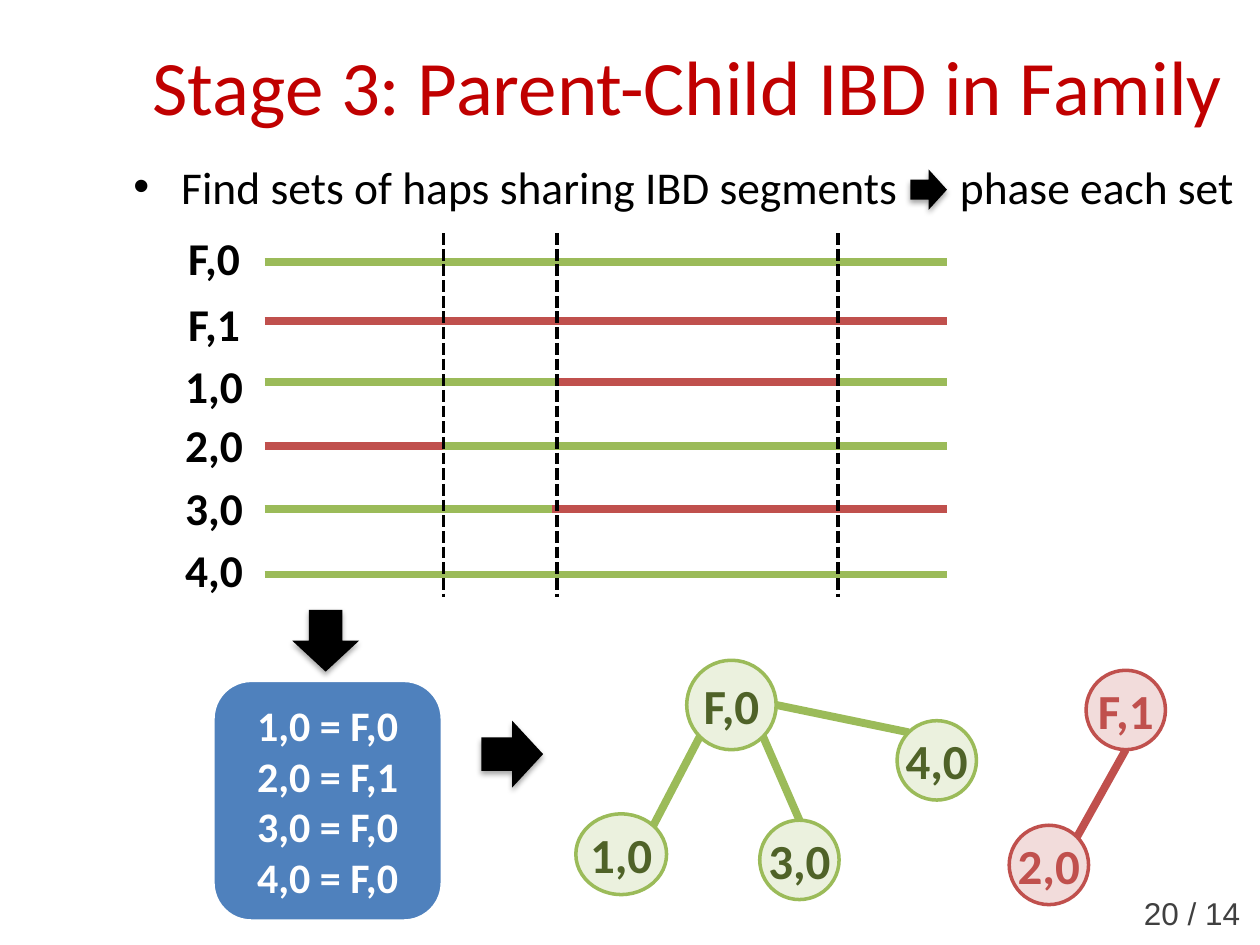
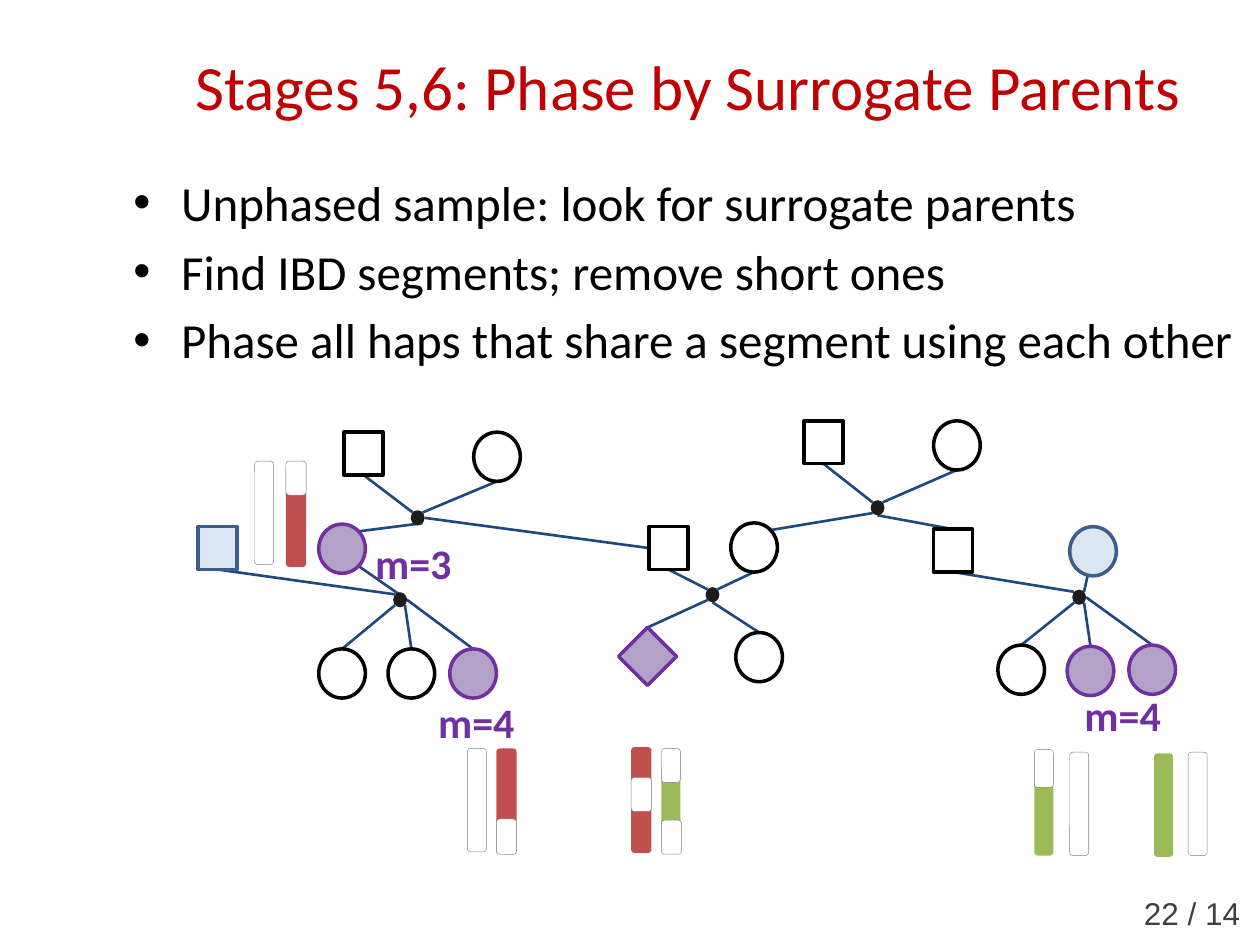
"""Builds two slides on phasing haplotypes within families and by surrogate parents."""
from lxml import etree
from pptx import Presentation
from pptx.dml.color import RGBColor
from pptx.enum.dml import MSO_LINE
from pptx.enum.shapes import MSO_CONNECTOR, MSO_SHAPE
from pptx.enum.text import MSO_ANCHOR, PP_ALIGN
from pptx.oxml.ns import qn
from pptx.util import Inches, Pt

GREEN, RED, BLUE, BLACK, WHITE = "9BBB59", "C0504D", "4F81BD", "000000", "FFFFFF"
TITLE_RED, NAVY, PURPLE, GREY, DOT = "C00000", "1F497D", "7030A0", "808080", "1C1C1C"
TOTAL_PAGES = 14

FAMILY = {
    "page": 20,
    "title": ("Stage 3: Parent-Child IBD in Family", 44),
    "bullets": [("Find sets of haps sharing IBD segments", "phase each set")],
    "bullet_box": (0.96, 1.21, 9, 1.04),
    "bullet_size": 26,
}
SURROGATES = {
    "page": 22,
    "title": ("Stages 5,6: Phase by Surrogate Parents", 36),
    "bullets": [
        "Unphased sample: look for surrogate parents",
        "Find IBD segments; remove short ones",
        "Phase all haps that share a segment using each other",
    ],
    "bullet_box": (0.96, 1.32, 9, 1.67),
    "bullet_size": 28,
}

HAP_START, HAP_END = 2.1, 7.52
CUTS = [3.52, 4.42, 6.65]
HAPS = [
    ("F,0", 1.78, 2.08, [(GREEN, HAP_START, HAP_END)]),
    ("F,1", 2.3, 2.55, [(RED, HAP_START, HAP_END)]),
    ("1,0", 2.79, 3.03, [(GREEN, HAP_START, HAP_END), (RED, 4.43, 6.65)]),
    ("2,0", 3.26, 3.54, [(RED, HAP_START, 3.52), (GREEN, 3.52, HAP_END)]),
    ("3,0", 3.76, 4.04, [(GREEN, HAP_START, HAP_END), (RED, 4.38, HAP_END)]),
    ("4,0", 4.25, 4.56, [(GREEN, HAP_START, HAP_END)]),
]
MATCHES = ["1,0 = F,0", "2,0 = F,1", "3,0 = F,0", "4,0 = F,0"]
ARROWS = [
    ((7.21, 1.36, 0.32, 0.29), 270),
    ((2.32, 4.84, 0.53, 0.49), 0),
    ((3.8, 5.74, 0.53, 0.49), 270),
]
SETS = {"green": ("EBF1DE", GREEN, "4F6228"), "red": ("F2DCDB", RED, RED)}
HAP_NODES = {
    "F,0": ("green", (5.45, 5.24, 0.71, 0.71)),
    "1,0": ("green", (4.57, 6.46, 0.72, 0.64)),
    "3,0": ("green", (6.03, 6.51, 0.63, 0.63)),
    "4,0": ("green", (7.12, 5.72, 0.63, 0.63)),
    "2,0": ("red", (8.01, 6.55, 0.63, 0.63)),
    "F,1": ("red", (8.62, 5.32, 0.63, 0.63)),
}
HAP_LINKS = [
    ("F,0", "se", "3,0", "n"), ("F,0", "e", "4,0", "nw"),
    ("F,0", "sw", "1,0", "ne"), ("F,1", "s", "2,0", "ne"),
]

KINDS = {
    "man": (MSO_SHAPE.RECTANGLE, 0.31, 0.34),
    "woman": (MSO_SHAPE.OVAL, 0.37, 0.39),
    "sample": (MSO_SHAPE.DIAMOND, 0.46, 0.46),
    "union": (MSO_SHAPE.OVAL, 0.11, 0.12),
}
STATES = {
    "plain": (WHITE, BLACK), "spouse": ("DCE6F2", "3A5F8C"),
    "match": ("B3A2C7", PURPLE), "union": (DOT, None),
}
PEOPLE = {
    "left grandfather": ("man", "plain", 2.73, 3.43),
    "left grandmother": ("woman", "plain", 3.76, 3.43),
    "left founders": ("union", "union", 3.26, 4.05),
    "left husband": ("man", "spouse", 1.57, 4.18),
    "left wife": ("woman", "match", 2.53, 4.16),
    "left couple": ("union", "union", 3.12, 4.7),
    "left child 1": ("woman", "plain", 2.53, 5.15),
    "left child 2": ("woman", "plain", 3.08, 5.15),
    "left child 3": ("woman", "match", 3.57, 5.15),
    "father": ("man", "plain", 5.15, 4.18),
    "mother": ("woman", "plain", 5.8, 4.15),
    "parents": ("union", "union", 5.6, 4.66),
    "sample": ("sample", "match", 4.91, 4.98),
    "sister": ("woman", "plain", 5.84, 5.02),
    "right grandfather": ("man", "plain", 6.38, 3.34),
    "right grandmother": ("woman", "plain", 7.41, 3.34),
    "right founders": ("union", "union", 6.91, 3.97),
    "right husband": ("man", "plain", 7.41, 4.2),
    "right wife": ("woman", "spouse", 8.49, 4.18),
    "right couple": ("union", "union", 8.51, 4.68),
    "right child 1": ("woman", "plain", 7.92, 5.12),
    "right child 2": ("woman", "match", 8.47, 5.13),
    "right child 3": ("woman", "match", 8.96, 5.12),
}
KIN_LINKS = [
    ("left founders", "nw", "left grandfather", "s"),
    ("left founders", "ne", "left grandmother", "s"),
    ("left founders", "se", "left wife", "ne"),
    ("left founders", "e", "father", "w"),
    ("left couple", "nw", "left husband", "s"),
    ("left couple", "e", "left wife", "se"),
    ("left couple", "sw", "left child 1", "n"),
    ("left couple", "se", "left child 2", "n"),
    ("left couple", "e", "left child 3", "n"),
    ("parents", "nw", "father", "s"),
    ("parents", "ne", "mother", "s"),
    ("parents", "sw", "sample", "n"),
    ("parents", "s", "sister", "n"),
    ("right founders", "nw", "right grandfather", "s"),
    ("right founders", "ne", "right grandmother", "s"),
    ("right founders", "sw", "mother", "ne"),
    ("right founders", "s", "right husband", "n"),
    ("right couple", "nw", "right husband", "s"),
    ("right couple", "ne", "right wife", "c"),
    ("right couple", "sw", "right child 1", "n"),
    ("right couple", "se", "right child 2", "n"),
    ("right couple", "e", "right child 3", "n"),
]
MATCH_COUNTS = [("m=3", 2.84, 4.22), ("m=4", 8.47, 5.42), ("m=4", 3.34, 5.48)]
HAP_BARS = [
    (RED, 5.01, 5.93, 0.16, 0.84), (RED, 3.94, 5.94, 0.16, 0.84),
    (RED, 2.27, 3.66, 0.16, 0.84), (WHITE, 5.01, 6.17, 0.16, 0.27),
    (WHITE, 3.94, 6.5, 0.16, 0.28), (WHITE, 3.71, 5.94, 0.15, 0.82),
    (WHITE, 2.02, 3.66, 0.15, 0.82), (WHITE, 2.27, 3.66, 0.16, 0.27),
    (GREEN, 5.25, 5.95, 0.15, 0.82), (GREEN, 8.21, 5.97, 0.15, 0.82),
    (GREEN, 9.16, 5.98, 0.15, 0.82), (WHITE, 8.49, 5.97, 0.15, 0.82),
    (WHITE, 9.43, 5.97, 0.15, 0.82), (WHITE, 8.21, 5.95, 0.15, 0.3),
    (WHITE, 5.25, 5.94, 0.15, 0.27), (WHITE, 5.25, 6.51, 0.16, 0.27),
]

GLUE = {"n": 0, "w": 1, "s": 2, "e": 3}
DIAGONAL = 0.7071


def rgb(value):
    return RGBColor.from_string(value)


def inches(box):
    return [Inches(length) for length in box]


def add_run(paragraph, text, size, color, bold, font):
    run = paragraph.add_run()
    run.text = text
    for key, value in {"size": Pt(size), "bold": bold, "name": font}.items():
        setattr(run.font, key, value)
    run.font.color.rgb = rgb(color)
    return run


def write(shape, paragraphs, size, color, bold=False, font="Calibri", align=PP_ALIGN.CENTER,
          before=0, bullet=False, **frame_format):
    frame = shape.text_frame
    for key, value in {"word_wrap": True, **frame_format}.items():
        setattr(frame, key, value)
    for index, pieces in enumerate(paragraphs):
        paragraph = frame.paragraphs[0] if index == 0 else frame.add_paragraph()
        paragraph.alignment = align
        paragraph.space_before = Pt(before)
        if bullet:
            properties = paragraph._p.get_or_add_pPr()
            properties.set("marL", str(Inches(0.38)))
            properties.set("indent", str(-Inches(0.38)))
            etree.SubElement(properties, qn("a:buFont")).set("typeface", "Arial")
            etree.SubElement(properties, qn("a:buChar")).set("char", "•")
        for order, piece in enumerate([pieces] if isinstance(pieces, str) else pieces):
            if order:
                gap = add_run(paragraph, " ", size, color, bold, font)
                gap.font._element.set("spc", "2940")
            add_run(paragraph, piece, size, color, bold, font)


def add_text(slide, box, paragraphs, size, color, **style):
    write(slide.shapes.add_textbox(*inches(box)), paragraphs, size, color, **style)


def add_shape(slide, preset, box, fill, line=None, width=2):
    shape = slide.shapes.add_shape(preset, *inches(box))
    shape.shadow.inherit = False
    shape.fill.solid()
    shape.fill.fore_color.rgb = rgb(fill)
    if line:
        shape.line.color.rgb = rgb(line)
        shape.line.width = Pt(width)
    else:
        shape.line.fill.background()
    return shape


def add_line(slide, start, end, color, width, dash=None):
    line = slide.shapes.add_connector(MSO_CONNECTOR.STRAIGHT, *inches(start + end))
    line.line.color.rgb = rgb(color)
    line.line.width = Pt(width)
    if dash:
        line.line.dash_style = dash
    etree.SubElement(line._element.spPr, qn("a:effectLst"))
    return line


def site(box, side):
    left, top, width, height = box
    reach = DIAGONAL if len(side) == 2 else 1
    across = ("e" in side) - ("w" in side)
    down = ("s" in side) - ("n" in side)
    return (left + width / 2 * (1 + across * reach), top + height / 2 * (1 + down * reach))


def link(slide, nodes, start, start_side, end, end_side, color, width):
    start_box = nodes[start][1]
    end_shape, end_box = nodes[end]
    line = add_line(slide, site(start_box, start_side), site(end_box, end_side), color, width)
    if end_shape.auto_shape_type != MSO_SHAPE.OVAL:
        line.end_connect(end_shape, GLUE[end_side])
    line._element.getparent().insert(2, line._element)


def add_arrow(slide, box, rotation):
    arrow = add_shape(slide, MSO_SHAPE.DOWN_ARROW, box, BLACK)
    arrow.rotation = rotation
    effects = arrow._element.spPr.find(qn("a:effectLst"))
    shadow = etree.SubElement(effects, qn("a:outerShdw"), blurRad="40000", dist="23000",
                              dir="5400000", rotWithShape="0")
    shade = etree.SubElement(shadow, qn("a:srgbClr"), val=BLACK)
    etree.SubElement(shade, qn("a:alpha"), val="35000")


def start_slide(deck, content):
    slide = deck.slides.add_slide(deck.slide_layouts[6])
    title, size = content["title"]
    add_text(slide, (8.98, 7.05, 1, 0.4), [f"{content['page']} / {TOTAL_PAGES}"], 18, "404040",
             font="Arial", align=PP_ALIGN.LEFT, word_wrap=False)
    add_text(slide, (0.96, 0.05, 9, 1.25), [title], size, TITLE_RED,
             vertical_anchor=MSO_ANCHOR.MIDDLE)
    add_text(slide, content["bullet_box"], content["bullets"], content["bullet_size"], BLACK,
             align=PP_ALIGN.LEFT, before=content["bullet_size"] * 0.2, bullet=True)
    return slide


def build_family(deck):
    slide = start_slide(deck, FAMILY)
    centred = {"vertical_anchor": MSO_ANCHOR.MIDDLE, "margin_left": 0, "margin_right": 0,
               "margin_top": 0, "margin_bottom": 0}
    for name, label_top, y, segments in HAPS:
        add_text(slide, (0.98, label_top, 1.44, 0.62), [name], 26, BLACK, bold=True, before=5.2)
        for color, start, end in segments:
            add_line(slide, (start, y), (end, y), color, 4.5)
    for x in CUTS:
        add_line(slide, (x, 1.85), (x, 4.74), BLACK, 2.25, MSO_LINE.SQUARE_DOT)
    matches = add_shape(slide, MSO_SHAPE.ROUNDED_RECTANGLE, (1.69, 5.4, 1.82, 1.91), BLUE, WHITE)
    write(matches, MATCHES, 24, WHITE, bold=True, **centred)
    for box, rotation in ARROWS:
        add_arrow(slide, box, rotation)
    nodes = {}
    for name, (group, box) in HAP_NODES.items():
        fill, outline, ink = SETS[group]
        node = add_shape(slide, MSO_SHAPE.OVAL, box, fill, outline)
        write(node, [name], 28, ink, bold=True, word_wrap=False, **centred)
        nodes[name] = (node, box)
    for ends in HAP_LINKS:
        group = HAP_NODES[ends[0]][0]
        link(slide, nodes, *ends, SETS[group][1], 4.5)


def build_surrogates(deck):
    slide = start_slide(deck, SURROGATES)
    nodes = {}
    for name, (kind, state, left, top) in PEOPLE.items():
        preset, width, height = KINDS[kind]
        box = (left, top, width, height)
        nodes[name] = (add_shape(slide, preset, box, *STATES[state]), box)
    for ends in KIN_LINKS:
        link(slide, nodes, *ends, NAVY, 1.5)
    for count, left, top in MATCH_COUNTS:
        add_text(slide, (left, top, 0.88, 0.5), [count], 24, PURPLE, bold=True)
    for color, *box in HAP_BARS:
        outline = GREY if color == WHITE else None
        add_shape(slide, MSO_SHAPE.ROUNDED_RECTANGLE, box, color, outline, 0.25)


def main():
    deck = Presentation()
    deck.slide_width, deck.slide_height = Inches(10), Inches(7.5)
    build_family(deck)
    build_surrogates(deck)
    deck.save("out.pptx")


if __name__ == "__main__":
    main()
